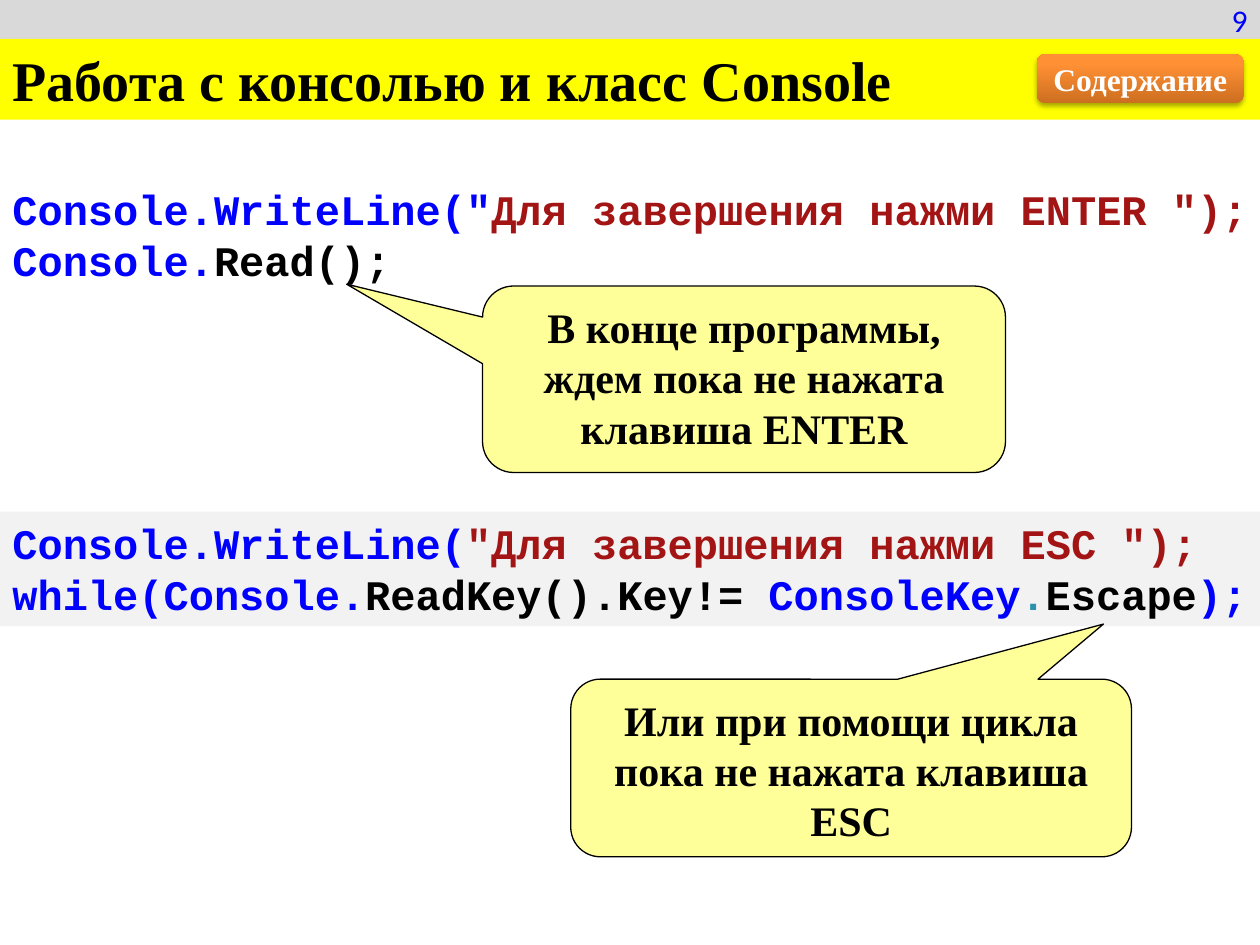
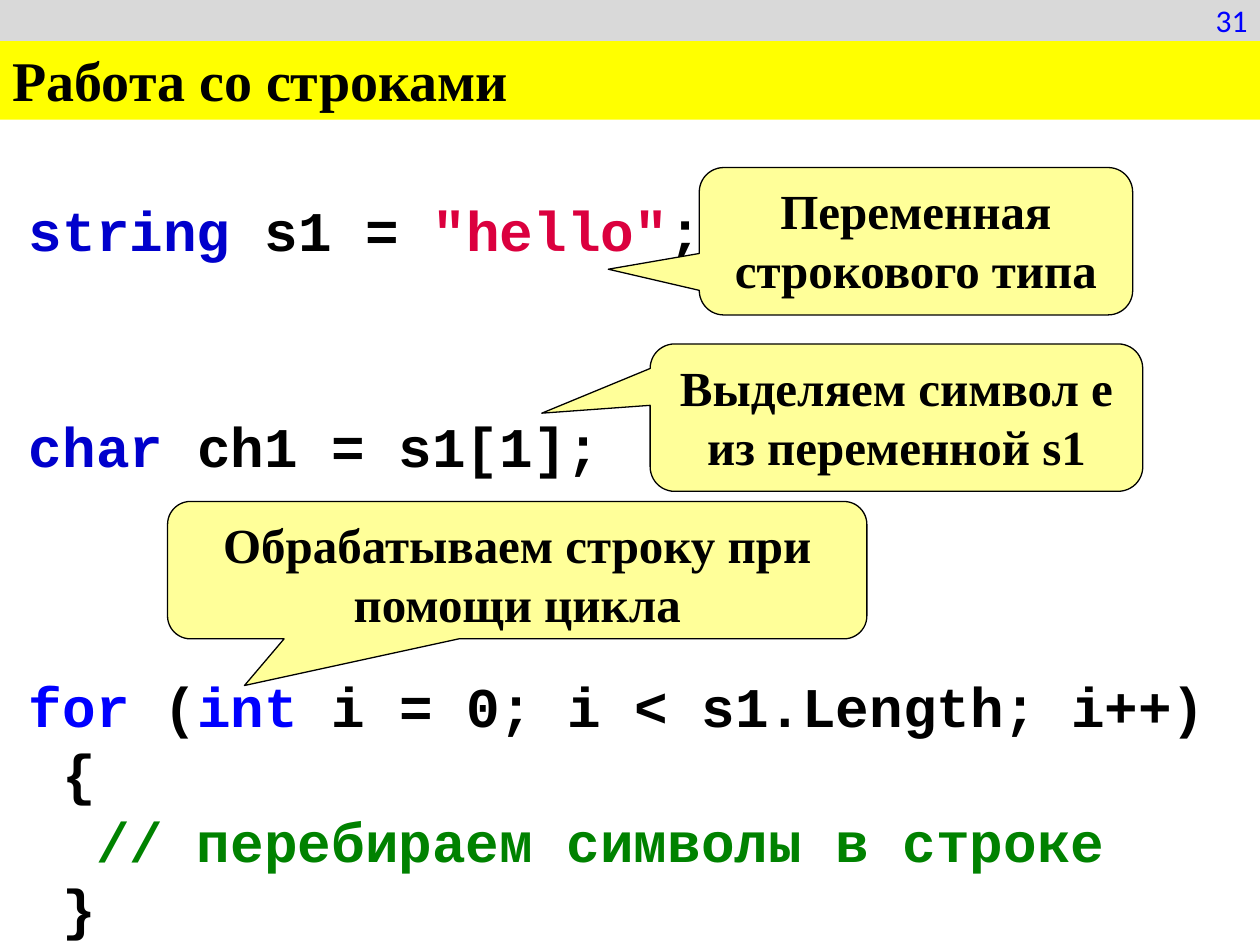
from lxml import etree
from pptx import Presentation
from pptx.dml.color import RGBColor
from pptx.enum.shapes import MSO_SHAPE
from pptx.enum.text import MSO_ANCHOR, PP_ALIGN
from pptx.oxml.ns import qn
from pptx.util import Inches, Pt

RECT, ROUND_RECT = MSO_SHAPE.RECTANGLE, MSO_SHAPE.ROUNDED_RECTANGLE
CALLOUT = MSO_SHAPE.ROUNDED_RECTANGULAR_CALLOUT
TOP, MIDDLE = MSO_ANCHOR.TOP, MSO_ANCHOR.MIDDLE
LEFT, CENTER, RIGHT = PP_ALIGN.LEFT, PP_ALIGN.CENTER, PP_ALIGN.RIGHT

SERIF, MONO, SANS = "Times New Roman", "Courier New", "Calibri"
BLACK = RGBColor(0x00, 0x00, 0x00)
WHITE = RGBColor(0xFF, 0xFF, 0xFF)
BLUE = RGBColor(0x00, 0x00, 0xFF)
NAVY = RGBColor(0x00, 0x00, 0xCC)
TEAL = RGBColor(0x2B, 0x91, 0xAF)
BROWN = RGBColor(0xA3, 0x15, 0x15)
CRIMSON = RGBColor(0xDB, 0x00, 0x3E)
GREEN = RGBColor(0x00, 0x82, 0x00)
GREY = RGBColor(0xD9, 0xD9, 0xD9)
PALE_GREY = RGBColor(0xF2, 0xF2, 0xF2)
YELLOW = RGBColor(0xFF, 0xFF, 0x00)
PALE_YELLOW = RGBColor(0xFF, 0xFF, 0x99)
DARK_ORANGE = RGBColor(0xCC, 0x6E, 0x20)
ORANGE = RGBColor(0xFF, 0x90, 0x34)

# Code lines are lists of (text, colour) runs.
WAIT_ENTER = [
    [('Console.WriteLine("', BLUE), ('Для завершения нажми ENTER ");', BROWN)],
    [("Console.", BLUE), ("Read();", BLACK)],
]
WAIT_ESC = [
    [("Console.WriteLine(", BLUE), ('"Для завершения нажми ESC ");', BROWN)],
    [("while(Console.", BLUE), ("ReadKey().Key!= ", BLACK), ("ConsoleKey", BLUE),
     (".", TEAL), ("Escape", BLACK), (");", BLUE)],
]
STRINGS = [
    [("string", NAVY), (" s1 = ", BLACK), ('"hello"', CRIMSON), (";", BLACK)],
    [("char", NAVY), (" ch1 = s1[1];", BLACK)],
    [("for", BLUE), (" (", BLACK), ("int ", BLUE), ("i = 0; i < s1.Length; i++)", BLACK)],
    [(" {", BLACK)],
    [("  // перебираем символы в строке", GREEN)],
    [(" }", BLACK)],
]

SLIDES = [
    dict(
        number="9", title="Работа с консолью и класс Console",
        title_over_band=True, button="Содержание",
        code=[
            dict(lines=WAIT_ENTER, box=(0, 1.41, 10, 0.91), size=24),
            dict(lines=WAIT_ESC, box=(0, 4.06, 10, 0.91), size=24, fill=PALE_GREY),
        ],
        callout_size=24,
        callouts=[
            ("В конце программы, ждем пока не нажата клавиша ENTER",
             (3.83, 2.27, 4.15, 1.48), (-0.76, -0.51)),
            ("Или при помощи цикла пока не нажата клавиша ESC",
             (4.53, 5.39, 4.45, 1.41), (0.45, -0.81)),
        ],
    ),
    dict(
        number="31", title="Работа со строками",
        title_over_band=False, button=None,
        code=[
            dict(lines=STRINGS, box=(0.23, 1.48, 9.61, 6.06), size=32,
                 anchor=MIDDLE, inset=0, gaps={1: 85, 2: 110}),
        ],
        callout_size=28,
        callouts=[
            ("Переменная строкового типа", (5.55, 1.33, 3.44, 1.17), (-0.71, 0.19)),
            ("Выделяем символ е из переменной s1", (5.16, 2.73, 3.91, 1.17), (-0.72, -0.03)),
            ("Обрабатываем строку при помощи цикла", (1.33, 3.98, 5.55, 1.09), (-0.39, 0.84)),
        ],
    ),
]


def write(sp, lines, size, font=SERIF, color=BLACK, bold=True, align=LEFT,
          anchor=TOP, inset=None, gaps=None):
    """Write a string, or lines of (text, colour) runs; gaps maps line to space before."""
    if isinstance(lines, str):
        lines = [[(lines, color)]]
    tf = sp.text_frame
    tf.word_wrap = True
    tf.vertical_anchor = anchor
    if inset is not None:
        tf.margin_left = tf.margin_right = tf.margin_top = tf.margin_bottom = Inches(inset)
    for i, runs in enumerate(lines):
        p = tf.add_paragraph() if i else tf.paragraphs[0]
        p.alignment = align
        if gaps and i in gaps:
            p.space_before = Pt(gaps[i])
        for text, run_color in runs:
            r = p.add_run()
            r.text = text
            r.font.name, r.font.size, r.font.bold = font, Pt(size), bold
            r.font.color.rgb = run_color


def add_box(s, kind, box, fill=None, line=None, width=0.75):
    sp = s.shapes.add_shape(kind, *map(Inches, box))
    sp.shadow.inherit = False
    if fill is None:
        sp.fill.background()
    else:
        sp.fill.solid()
        sp.fill.fore_color.rgb = fill
    if line is None:
        sp.line.fill.background()
    else:
        sp.line.color.rgb = line
        sp.line.width = Pt(width)
    return sp


def add_number_band(s, number):
    sp = add_box(s, RECT, (0, 0, 10, 0.31), GREY, GREY, 2)
    write(sp, number, 18, font=SANS, color=BLUE, bold=False, align=RIGHT, anchor=MIDDLE)


def add_title(s, title):
    write(add_box(s, RECT, (0, 0.31, 10, 0.64), YELLOW), title, 32)


def add_code(s, lines, box, size, fill=None, **fmt):
    if fill is None:
        sp = s.shapes.add_textbox(*map(Inches, box))
    else:
        sp = add_box(s, RECT, box, fill)
    write(sp, lines, size, font=MONO, **fmt)


def add_callout(s, text, box, tip, size):
    sp = add_box(s, CALLOUT, box, PALE_YELLOW, BLACK)
    sp.adjustments[0], sp.adjustments[1] = tip
    write(sp, text, size, align=CENTER)


def add_button(s, text):
    sp = add_box(s, ROUND_RECT, (8.23, 0.43, 1.64, 0.39))
    sp.fill.gradient()
    sp.fill.gradient_angle = 90
    for stop, color, position in zip(sp.fill.gradient_stops, (DARK_ORANGE, ORANGE), (0, 0.8)):
        stop.color.rgb = color
        stop.position = position
    effects = sp._element.spPr.find(qn("a:effectLst"))
    shadow = etree.SubElement(effects, qn("a:outerShdw"), blurRad=str(Pt(3.1)),
                              dist=str(Pt(1.8)), dir="5400000", rotWithShape="0")
    tint = etree.SubElement(shadow, qn("a:srgbClr"), val=str(BLACK))
    etree.SubElement(tint, qn("a:alpha"), val="35000")
    write(sp, text, 18, color=WHITE, align=CENTER, anchor=MIDDLE)


def build_slide(prs, content):
    s = prs.slides.add_slide(prs.slide_layouts[6])
    for code in content["code"]:
        add_code(s, **code)
    header = [(add_number_band, content["number"]), (add_title, content["title"])]
    if not content["title_over_band"]:
        header.reverse()
    for add_part, text in header:
        add_part(s, text)
    for text, box, tip in content["callouts"]:
        add_callout(s, text, box, tip, content["callout_size"])
    if content["button"]:
        add_button(s, content["button"])


def main():
    prs = Presentation()
    prs.slide_width, prs.slide_height = Inches(10), Inches(7.5)
    for content in SLIDES:
        build_slide(prs, content)
    prs.save("out.pptx")


if __name__ == "__main__":
    main()
